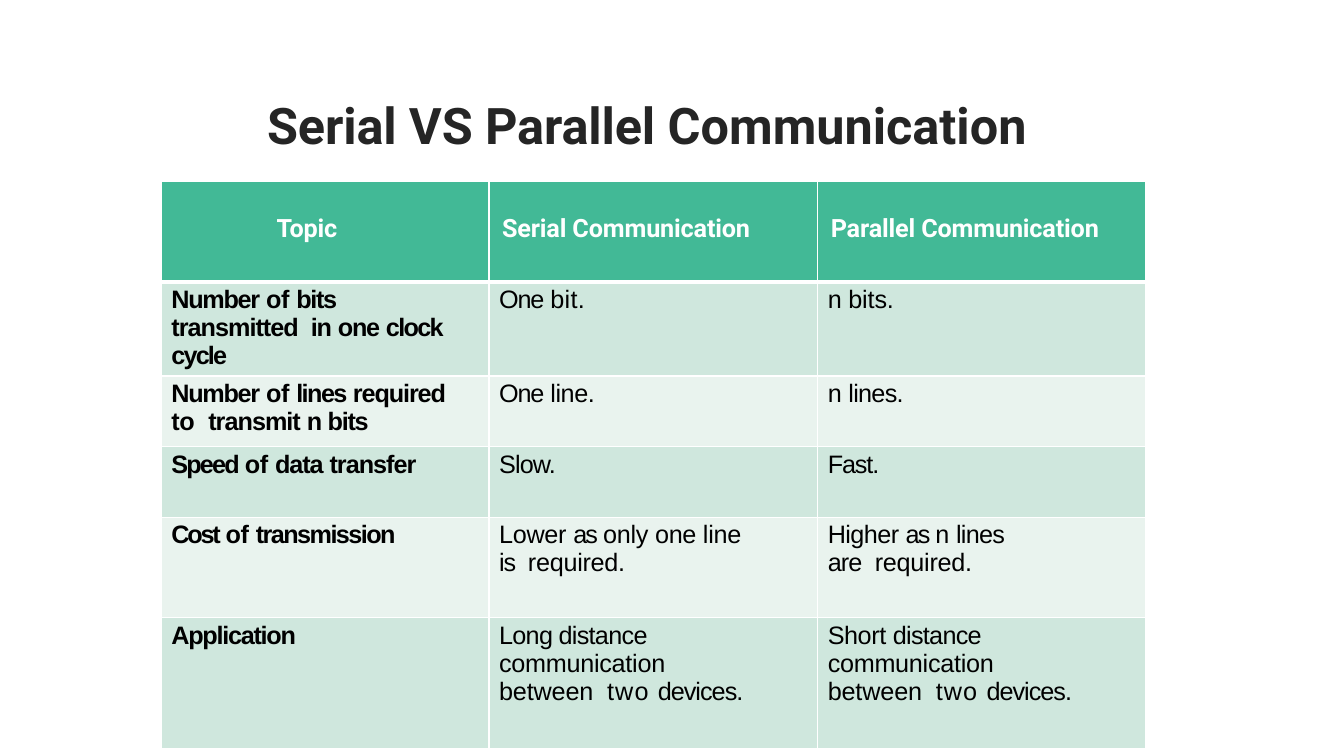
from lxml import etree
from pptx import Presentation
from pptx.dml.color import RGBColor
from pptx.enum.text import MSO_ANCHOR, MSO_AUTO_SIZE, PP_ALIGN
from pptx.oxml.ns import qn
from pptx.util import Inches, Pt

TOP, MIDDLE = MSO_ANCHOR.TOP, MSO_ANCHOR.MIDDLE
LEFT, CENTER = PP_ALIGN.LEFT, PP_ALIGN.CENTER
NO_AUTOFIT = MSO_AUTO_SIZE.NONE

INK = RGBColor(0x25, 0x25, 0x25)
BLACK = RGBColor(0, 0, 0)
WHITE = RGBColor(0xFF, 0xFF, 0xFF)
GREEN = RGBColor(0x42, 0xB9, 0x96)
BANDS = (RGBColor(0xCF, 0xE7, 0xDD), RGBColor(0xE9, 0xF3, 0xEE))

TITLE = [("Serial VS Parallel ", -0.1), ("Communication", 0)]
HEADERS = ["Topic", "Serial Communication", "Parallel Communication"]
ROWS = [
    ([("Number ", -0.9), ("of ", -0.2), ("bits ", -0.9), ("transmitted  ", -0.7),
      ("in ", -0.8), ("one ", -0.9), ("clock ", -1.2), ("cycle", -1.3)],
     [("One ", -0.8), ("bit.", 0.2)],
     [("n ", -0.3), ("bits.", -0.1)]),
    ([("Number ", -0.9), ("of ", -0.2), ("lines ", -1.1), ("required ", -0.8),
      ("to  ", -0.2), ("transmit ", -0.7), ("n ", -1.1), ("bits", -0.9)],
     [("One ", -0.8), ("line.", -0.3)],
     [("n ", -0.3), ("lines.", -0.5)]),
    ([("Speed ", -1.3), ("of ", -0.2), ("data ", -0.8), ("transfer", -0.7)],
     [("Slow.", -0.6)],
     [("Fast.", -0.8)]),
    ([("Cost ", -1.6), ("of ", -0.2), ("transmission", -1.1)],
     [("Lower ", -0.2), ("as ", -1.4), ("only ", -0.2), ("one ", -0.3),
      ("line ", -0.2), ("is  ", -0.8), ("required.", -0.2)],
     [("Higher ", -0.4), ("as ", -1.4), ("n ", -0.3), ("lines ", -0.5),
      ("are  ", -0.6), ("required.", -0.2)]),
    ([("Application", -0.9)],
     [("Long distance  ", -0.5), ("communication ", -0.2), ("between  ", -0.1),
      ("two ", 0.8), ("devices.", -0.7)],
     [("Short ", -0.3), ("distance  ", -0.5), ("communication ", -0.2),
      ("between  ", -0.1), ("two ", 0.8), ("devices.", -0.7)]),
]
COLUMN_WIDTHS = (3.25, 3.26, 3.25)
ROW_HEIGHTS = (1, 0.93, 0.7, 0.7, 1, 1.3)
RIGHT_MARGINS = (0.4, 0.6, 0.6)
NARROW_CELLS = {(4, 2): 1.2}


def write_spaced(paragraph, words, font_name, size, color, bold):
    """Fill a paragraph with words that each have their own letter spacing."""
    font = paragraph.font
    font.name, font.size, font.bold = font_name, Pt(size), bold
    font.color.rgb = color
    for word, spacing in words:
        run = paragraph.add_run()
        run.text = word
        run._r.get_or_add_rPr().set("spc", str(round(spacing * 100)))


def set_margins(target, left, top, right, bottom):
    """Set the inner margins of a cell or text frame in inches."""
    target.margin_left, target.margin_top = Inches(left), Inches(top)
    target.margin_right, target.margin_bottom = Inches(right), Inches(bottom)


def set_borders(cell, top, bottom):
    """Draw white borders around a cell with widths in points."""
    properties = cell._tc.get_or_add_tcPr()
    for side, width in (("L", 1), ("R", 1), ("T", top), ("B", bottom)):
        line = etree.SubElement(properties, qn(f"a:ln{side}"), w=str(Pt(width)))
        fill = etree.SubElement(line, qn("a:solidFill"))
        etree.SubElement(fill, qn("a:srgbClr"), val=str(WHITE))


def paint_cell(cell, color, top, bottom):
    """Give a cell its borders and its fill."""
    set_borders(cell, top, bottom)
    cell.fill.solid()
    cell.fill.fore_color.rgb = color


def add_title(slide, left, top, width, height):
    """Place and format the title placeholder."""
    title = slide.shapes.title
    title.left, title.top = Inches(left), Inches(top)
    title.width, title.height = Inches(width), Inches(height)
    frame = title.text_frame
    frame.auto_size, frame.vertical_anchor = NO_AUTOFIT, TOP
    frame.word_wrap = True
    set_margins(frame, 0.01, 0.03, 0, 0)
    heading = frame.paragraphs[0]
    heading.alignment = LEFT
    write_spaced(heading, TITLE, "Roboto", 36, INK, True)


def fill_header(table):
    """Write the green header row."""
    for column, label in enumerate(HEADERS):
        cell = table.cell(0, column)
        paint_cell(cell, GREEN, 1, 3)
        cell.vertical_anchor = MIDDLE
        heading = cell.text_frame.paragraphs[0]
        if column == 0:
            set_margins(cell, 0, 0, 0.36, 0.06)
            heading.alignment = CENTER
        else:
            set_margins(cell, 0.13, 0, 0, 0.06)
            heading.alignment = LEFT
        write_spaced(heading, [(label, -0.1)], "Roboto", 18, WHITE, True)


def fill_body(table):
    """Write the banded comparison rows."""
    for row, topic_row in enumerate(ROWS, 1):
        for column, words in enumerate(topic_row):
            cell = table.cell(row, column)
            paint_cell(cell, BANDS[(row - 1) % 2], 3 if row == 1 else 1, 1)
            right = NARROW_CELLS.get((row, column), RIGHT_MARGINS[column])
            set_margins(cell, 0.1, 0.04, right, 0)
            cell.vertical_anchor = TOP
            entry = cell.text_frame.paragraphs[0]
            entry.alignment, entry.line_spacing = LEFT, Pt(20)
            write_spaced(entry, words, "Arial", 18, BLACK, column == 0)


def add_comparison(slide, left, top):
    """Add the table comparing serial and parallel communication."""
    table = slide.shapes.add_table(
        len(ROW_HEIGHTS), len(COLUMN_WIDTHS), Inches(left), Inches(top),
        Inches(sum(COLUMN_WIDTHS)), Inches(sum(ROW_HEIGHTS))).table
    for column, width in zip(table.columns, COLUMN_WIDTHS):
        column.width = Inches(width)
    for row, height in zip(table.rows, ROW_HEIGHTS):
        row.height = Inches(height)
    fill_header(table)
    fill_body(table)


def main():
    """Build the slide and save it."""
    deck = Presentation()
    deck.slide_width, deck.slide_height = Inches(13.33), Inches(7.5)
    slide = deck.slides.add_slide(deck.slide_layouts[5])
    add_title(slide, 2.64, 0.9, 8.06, 0.63)
    add_comparison(slide, 1.6, 1.8)
    deck.save("out.pptx")


if __name__ == "__main__":
    main()
